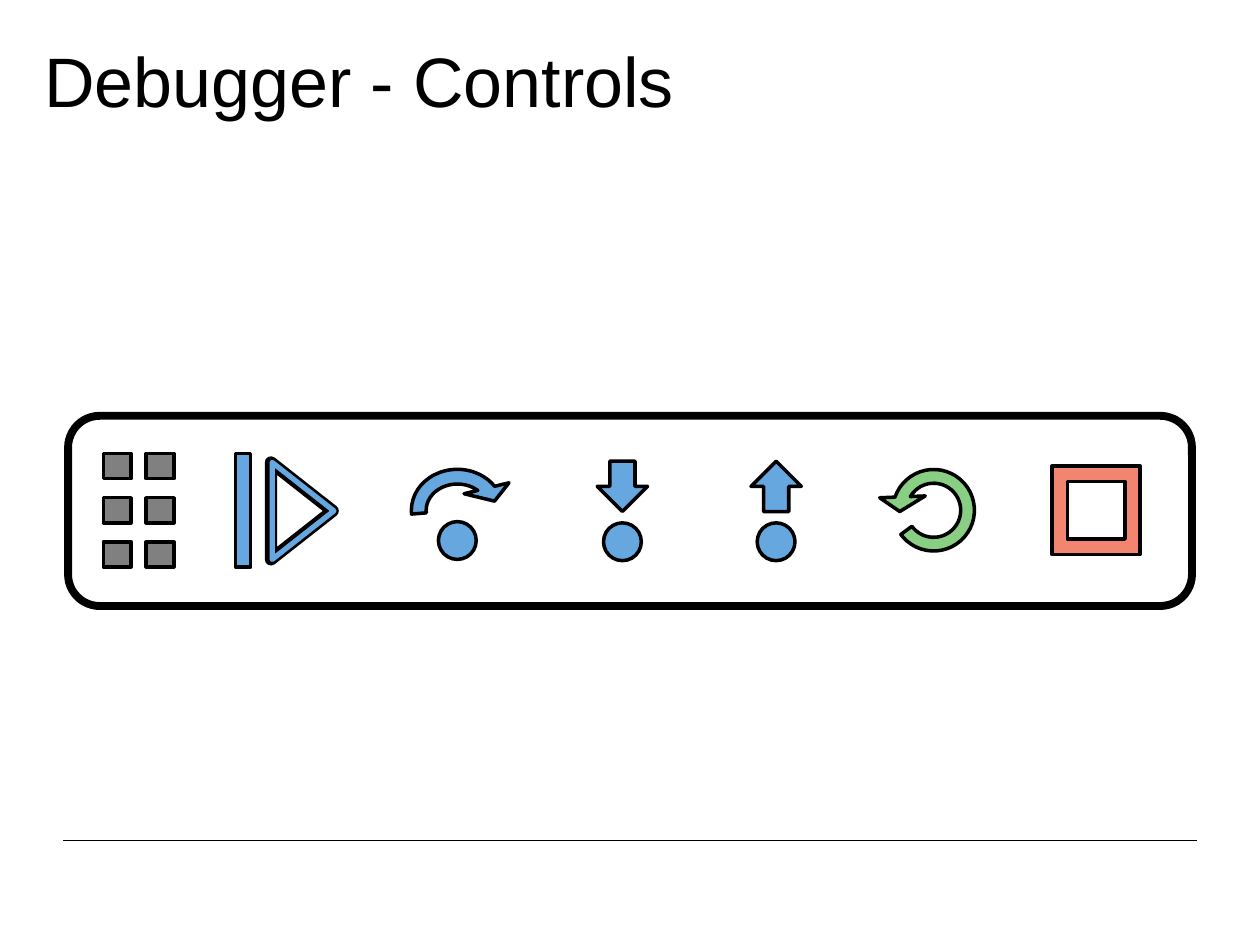
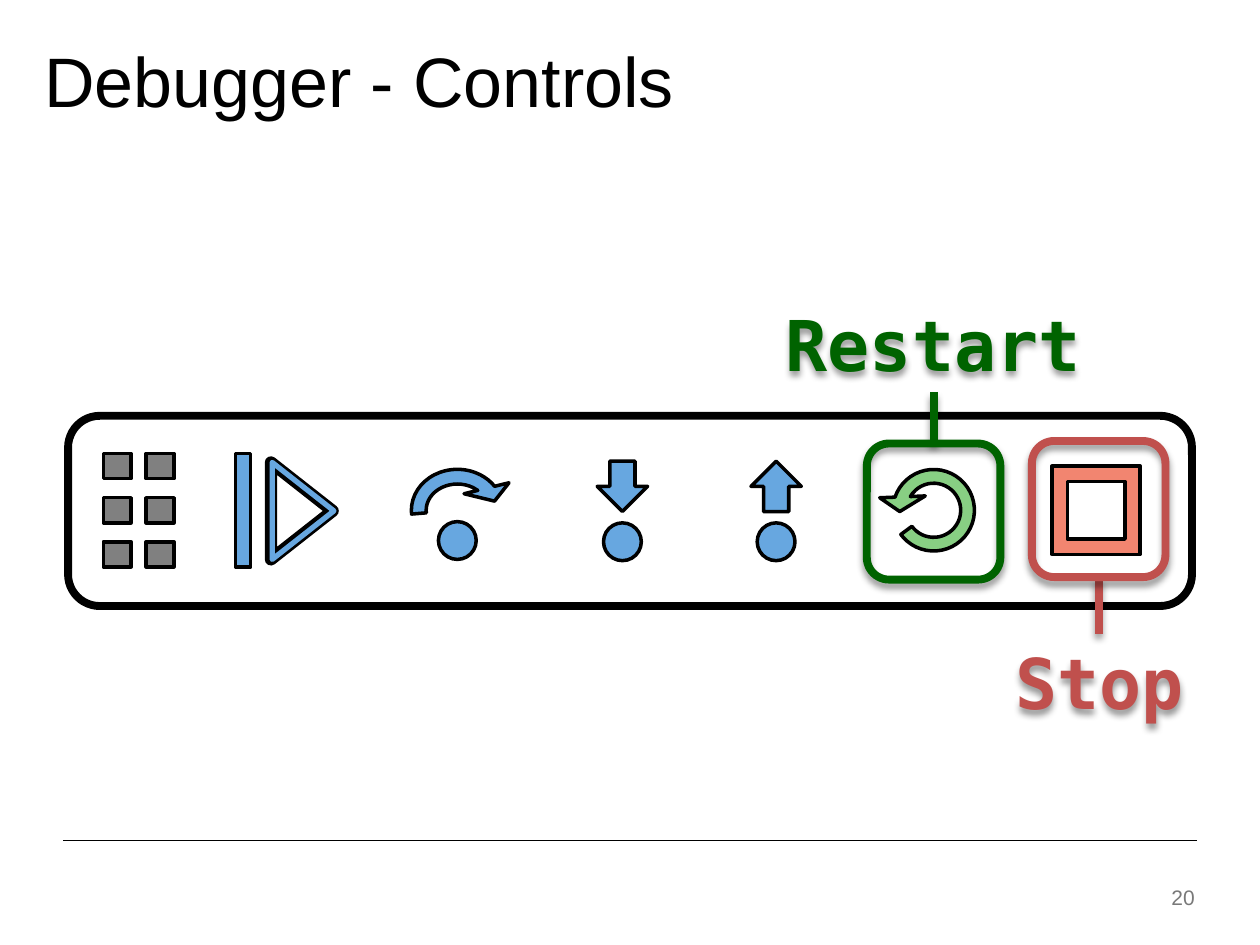
from dataclasses import dataclass
from itertools import product
from typing import NamedTuple, Optional

from lxml import etree
from pptx import Presentation
from pptx.dml.color import RGBColor
from pptx.enum.shapes import MSO_CONNECTOR, MSO_SHAPE as Geom
from pptx.enum.text import MSO_ANCHOR, PP_ALIGN
from pptx.oxml.ns import qn
from pptx.util import Inches, Pt


@dataclass(frozen=True)
class Theme:
    black: str = "000000"
    grip: str = "808080"
    blue: str = "67A7E0"
    green: str = "88CF83"
    red: str = "F28570"
    restart: str = "006300"
    stop: str = "C0504D"
    number: str = "797979"
    font: str = "Arial"
    mono: str = "DejaVu Sans Mono"
    title_size: float = 40
    number_size: float = 12
    hairline: float = 0.5
    outline: float = 2
    heavy: float = 4.5


THEME = Theme()


class Box(NamedTuple):
    left: float
    top: float
    width: float
    height: float

    def emu(self) -> tuple:
        return tuple(Inches(v) for v in self)


class Icon(NamedTuple):
    """One preset shape of the toolbar."""
    geom: Geom
    box: Box
    fill: Optional[str] = None
    line: str = THEME.black
    weight: float = THEME.outline
    rotation: float = 0
    flip: bool = False
    adjust: tuple = ()


class Callout(NamedTuple):
    """A framed button with a stem leading to its label."""
    text: str
    color: str
    label: Box
    frame: Box
    stem_x: float
    stem_top: float
    stem_bottom: float


GRIP = [Icon(Geom.RECTANGLE, Box(x, y, 0.22, 0.2), THEME.grip)
        for y, x in product((3.6, 3.95, 4.3), (0.82, 1.16))]

STEPS = [
    Icon(Geom.OVAL, Box(x, y, 0.3, 0.3), THEME.blue)
    for x, y in ((3.48, 4.14), (4.79, 4.15), (6.01, 4.15))
] + [
    Icon(Geom.CIRCULAR_ARROW, Box(3.14, 3.6, 0.98, 0.9), THEME.blue,
         adjust=(0.13, 13.934, 193.823, 105.135, 0.204)),
] + [
    Icon(Geom.DOWN_ARROW, Box(x, 3.66, 0.4, 0.4), THEME.blue, rotation=angle)
    for x, angle in ((4.74, 0), (5.96, 180))
]

RESUME = [
    Icon(Geom.ISOSCELES_TRIANGLE, Box(x, 3.81, 0.77, 0.49),
         line=color, weight=weight, rotation=90)
    for x, color, weight in ((2.01, THEME.black, 7), (2.02, THEME.blue, 3))
] + [Icon(Geom.RECTANGLE, Box(1.87, 3.6, 0.12, 0.9), THEME.blue)]

TOOLBAR = [
    Icon(Geom.ROUNDED_RECTANGLE, Box(0.54, 3.3, 8.92, 1.51), weight=THEME.heavy),
    *GRIP,
    *STEPS,
    Icon(Geom.CIRCULAR_ARROW, Box(6.96, 3.6, 0.9, 0.9), THEME.green,
         rotation=348.2, flip=True,
         adjust=(0.121, 15.289, 194.995, 14.782, 0.201)),
    Icon(Geom.FRAME, Box(8.35, 3.7, 0.7, 0.7), THEME.red, adjust=(0.173,)),
    *RESUME,
]

CALLOUTS = [
    Callout("Restart", THEME.restart, Box(6.09, 2.34, 2.63, 0.77),
            Box(6.88, 3.52, 1.06, 1.08), 7.41, 3.11, 3.52),
    Callout("Stop", THEME.stop, Box(7.93, 5.03, 1.59, 0.77),
            Box(8.19, 3.5, 1.06, 1.08), 8.72, 4.59, 5.03),
]


def rgb(color: str) -> RGBColor:
    return RGBColor.from_string(color)


def set_effects(shape, shadow: bool) -> None:
    """Replace the inherited effects by a soft shadow below, or by none."""
    spPr = shape._element.spPr
    effects = spPr.find(qn("a:effectLst"))
    if effects is None:
        effects = etree.SubElement(spPr, qn("a:effectLst"))
    if shadow:
        outer = etree.SubElement(
            effects, qn("a:outerShdw"), blurRad=str(Pt(4)), dist=str(Pt(3)),
            dir="5400000", rotWithShape="0")
        color = etree.SubElement(outer, qn("a:srgbClr"), val=THEME.black)
        etree.SubElement(color, qn("a:alpha"), val="40000")


def add_icon(slide, icon: Icon, shadow: bool = False):
    sp = slide.shapes.add_shape(icon.geom, *icon.box.emu())
    sp.shadow.inherit = False
    if icon.fill:
        sp.fill.solid()
        sp.fill.fore_color.rgb = rgb(icon.fill)
    else:
        sp.fill.background()
    sp.line.color.rgb = rgb(icon.line)
    sp.line.width = Pt(icon.weight)
    sp.rotation = icon.rotation
    if icon.flip:
        sp._element.spPr.xfrm.set("flipH", "1")
    for i, value in enumerate(icon.adjust):
        sp.adjustments[i] = value
    set_effects(sp, shadow)
    return sp


def add_line(slide, start: tuple, end: tuple, color: str, weight: float,
             shadow: bool = False) -> None:
    line = slide.shapes.add_connector(
        MSO_CONNECTOR.STRAIGHT, *(Inches(v) for v in (*start, *end)))
    line.line.color.rgb = rgb(color)
    line.line.width = Pt(weight)
    set_effects(line, shadow)


def write(shape, text: str, size: float, color: str, font: str = THEME.font,
          align: PP_ALIGN = PP_ALIGN.LEFT, anchor: MSO_ANCHOR = MSO_ANCHOR.TOP,
          bold: bool = False, wrap: bool = True) -> None:
    tf = shape.text_frame
    tf.word_wrap = wrap
    tf.vertical_anchor = anchor
    p = tf.paragraphs[0]
    p.alignment = align
    r = p.add_run()
    r.text = text
    r.font.name = font
    r.font.size = Pt(size)
    r.font.bold = bold
    r.font.color.rgb = rgb(color)


def add_callout(slide, callout: Callout) -> None:
    label = slide.shapes.add_textbox(*callout.label.emu())
    write(label, callout.text, THEME.title_size, callout.color, THEME.mono,
          PP_ALIGN.CENTER, bold=True, wrap=False)
    set_effects(label, shadow=True)
    add_line(slide, (callout.stem_x, callout.stem_top),
             (callout.stem_x, callout.stem_bottom), callout.color,
             THEME.heavy, shadow=True)
    add_icon(slide, Icon(Geom.ROUNDED_RECTANGLE, callout.frame,
                         line=callout.color, weight=THEME.heavy), shadow=True)


def add_controls_slide(prs):
    """Add a slide with the title, the footer rule and the debugger toolbar."""
    slide = prs.slides.add_slide(prs.slide_layouts[5])
    title = slide.shapes.title
    title.left, title.top, title.width, title.height = Box(0.25, 0.25, 6.5, 0.77).emu()
    write(title, "Debugger - Controls", THEME.title_size, THEME.black)
    add_line(slide, (0.5, 6.67), (9.5, 6.67), THEME.black, THEME.hairline)
    for icon in TOOLBAR:
        add_icon(slide, icon)
    return slide


def add_slide_number(slide, number: str) -> None:
    box = slide.shapes.add_textbox(*Box(7.33, 6.92, 2.25, 0.4).emu())
    write(box, number, THEME.number_size, THEME.number,
          align=PP_ALIGN.RIGHT, anchor=MSO_ANCHOR.MIDDLE)


def main() -> None:
    prs = Presentation()
    prs.slide_width, prs.slide_height = Inches(10), Inches(7.5)
    add_controls_slide(prs)
    slide = add_controls_slide(prs)
    for callout in CALLOUTS:
        add_callout(slide, callout)
    add_slide_number(slide, "20")
    prs.save("out.pptx")


if __name__ == "__main__":
    main()
